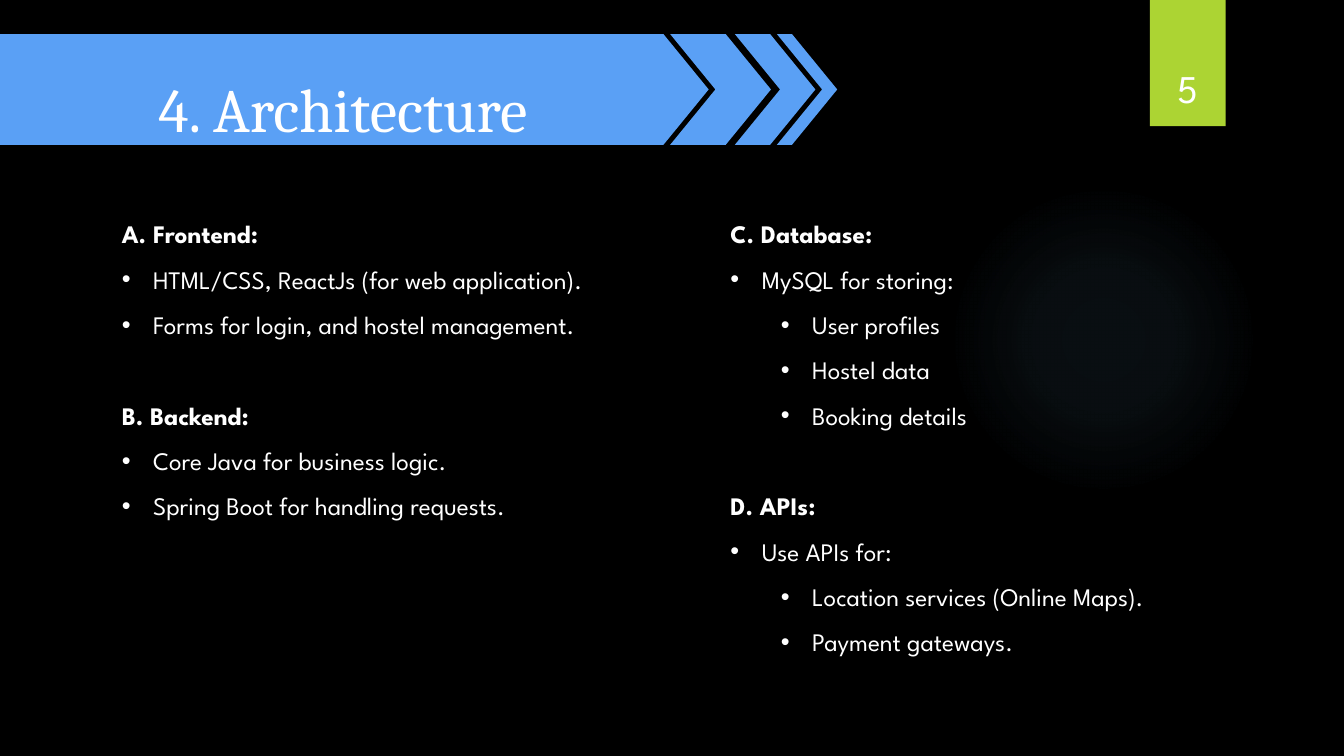
from lxml import etree
from pptx import Presentation
from pptx.dml.color import RGBColor
from pptx.enum import shapes, text
from pptx.oxml import ns
from pptx.util import Cm, Pt

BLACK = RGBColor(0, 0, 0)
WHITE = RGBColor(0xFF, 0xFF, 0xFF)
BLUE = RGBColor(0x5A, 0xA0, 0xF5)
GREEN = RGBColor(0xAC, 0xD4, 0x33)
GLOW = RGBColor(0x7A, 0xC4, 0xF0)

BODY_FONT = "League Spartan"
TITLE_FONT = "Cambria"
SLANT = 1.14
INDENT = 0.79
LEVEL_STEP = 1.27
SECTION_GAP = 32.4

LEFT_SECTIONS = [
    ("A. Frontend:", [
        (0, "HTML/CSS, ReactJs (for web application)."),
        (0, "Forms for login, and hostel management."),
    ]),
    ("B. Backend:", [
        (0, "Core Java for business logic."),
        (0, "Spring Boot for handling requests."),
    ]),
]
RIGHT_SECTIONS = [
    ("C. Database:", [
        (0, "MySQL for storing:"),
        (1, "User profiles"),
        (1, "Hostel data"),
        (1, "Booking details"),
    ]),
    ("D. APIs:", [
        (0, "Use APIs for:"),
        (1, "Location services (Online Maps)."),
        (1, "Payment gateways."),
    ]),
]


def add_text(tf, content, size=18, font=BODY_FONT, bold=False, align=None,
             spacing=None, before=None, level=None):
    p = tf.paragraphs[0]
    if p.runs:
        p = tf.add_paragraph()
    if level is not None:
        p.level = level
        pPr = p._p.get_or_add_pPr()
        pPr.set("marL", str(Cm(INDENT + level * LEVEL_STEP)))
        pPr.set("indent", str(-Cm(INDENT)))
        etree.SubElement(pPr, ns.qn("a:buFont"), typeface="Arial")
        etree.SubElement(pPr, ns.qn("a:buChar"), char="•")
    p.alignment = align
    p.line_spacing = spacing
    if before:
        p.space_before = Pt(before)
    r = p.add_run()
    r.text = content
    r.font.size = Pt(size)
    r.font.name = font
    r.font.bold = bold
    r.font.color.rgb = WHITE


def add_filled(s, kind, x, y, w, h, color):
    sp = s.shapes.add_shape(kind, Cm(x), Cm(y), Cm(w), Cm(h))
    sp.shadow.inherit = False
    sp.fill.solid()
    sp.fill.fore_color.rgb = color
    sp.line.fill.background()
    return sp


def add_box(s, x, y, w, h):
    tf = s.shapes.add_textbox(Cm(x), Cm(y), Cm(w), Cm(h)).text_frame
    tf.word_wrap = True
    return tf


def add_glow(s, x, y, size):
    sp = add_filled(s, shapes.MSO_SHAPE.OVAL, x, y, size, size, GLOW)
    grad = etree.Element(ns.qn("a:gradFill"), rotWithShape="1")
    stops = etree.SubElement(grad, ns.qn("a:gsLst"))
    for position, alpha in ((0, 7), (36, 6), (69, 0)):
        gs = etree.SubElement(stops, ns.qn("a:gs"), pos=str(position * 1000))
        color = etree.SubElement(gs, ns.qn("a:srgbClr"), val=str(GLOW))
        etree.SubElement(color, ns.qn("a:alpha"), val=str(alpha * 1000))
    center = etree.SubElement(grad, ns.qn("a:path"))
    center.set("path", "circle")
    etree.SubElement(center, ns.qn("a:fillToRect"),
                     l="50000", t="50000", r="50000", b="50000")
    spPr = sp._element.spPr
    spPr.replace(spPr.find(ns.qn("a:solidFill")), grad)


def add_banner(s, title, x, y, h):
    chevron = shapes.MSO_SHAPE.CHEVRON
    parts = [(shapes.MSO_SHAPE.PENTAGON, 0, 17.86), (chevron, 16.89, 2.54),
             (chevron, 18.52, 2.03), (chevron, 19.58, 1.52)]
    for kind, dx, w in parts:
        sp = add_filled(s, kind, x + dx, y, w, h, BLUE)
        sp.adjustments[0] = SLANT / min(w, h)
        if kind != chevron:
            tf = sp.text_frame
            tf.vertical_anchor = text.MSO_ANCHOR.MIDDLE
            add_text(tf, title, size=44, font=TITLE_FONT,
                     align=text.PP_ALIGN.CENTER, spacing=1.5)


def add_page_tag(s, number, x, y, w, h):
    add_filled(s, shapes.MSO_SHAPE.RECTANGLE, x, y, w, h, GREEN)
    tf = add_box(s, x - 0.22, y + 0.81, w + 0.44, 2.13)
    tf.vertical_anchor = text.MSO_ANCHOR.BOTTOM
    add_text(tf, number, size=28, align=text.PP_ALIGN.CENTER)


def add_column(s, sections, x, y, w, h):
    tf = add_box(s, x, y, w, h)
    tf.auto_size = text.MSO_AUTO_SIZE.SHAPE_TO_FIT_TEXT
    for i, (heading, items) in enumerate(sections):
        add_text(tf, heading, bold=True, spacing=1.5,
                 before=SECTION_GAP if i else None)
        for level, item in items:
            add_text(tf, item, spacing=1.5, level=level)


def main():
    prs = Presentation()
    prs.slide_width, prs.slide_height = Cm(33.87), Cm(19.05)
    s = prs.slides.add_slide(prs.slide_layouts[6])
    s.background.fill.solid()
    s.background.fill.fore_color.rgb = BLACK
    add_glow(s, 23.9, 4.65, 7.82)
    add_column(s, LEFT_SECTIONS, 2.82, 5, 12.83, 10.49)
    add_column(s, RIGHT_SECTIONS, 18.16, 5, 13.34, 11.66)
    add_banner(s, "4. Architecture", 0, 0.86, 2.79)
    add_page_tag(s, "5", 28.98, 0, 1.91, 3.18)
    prs.save("out.pptx")


if __name__ == "__main__":
    main()
